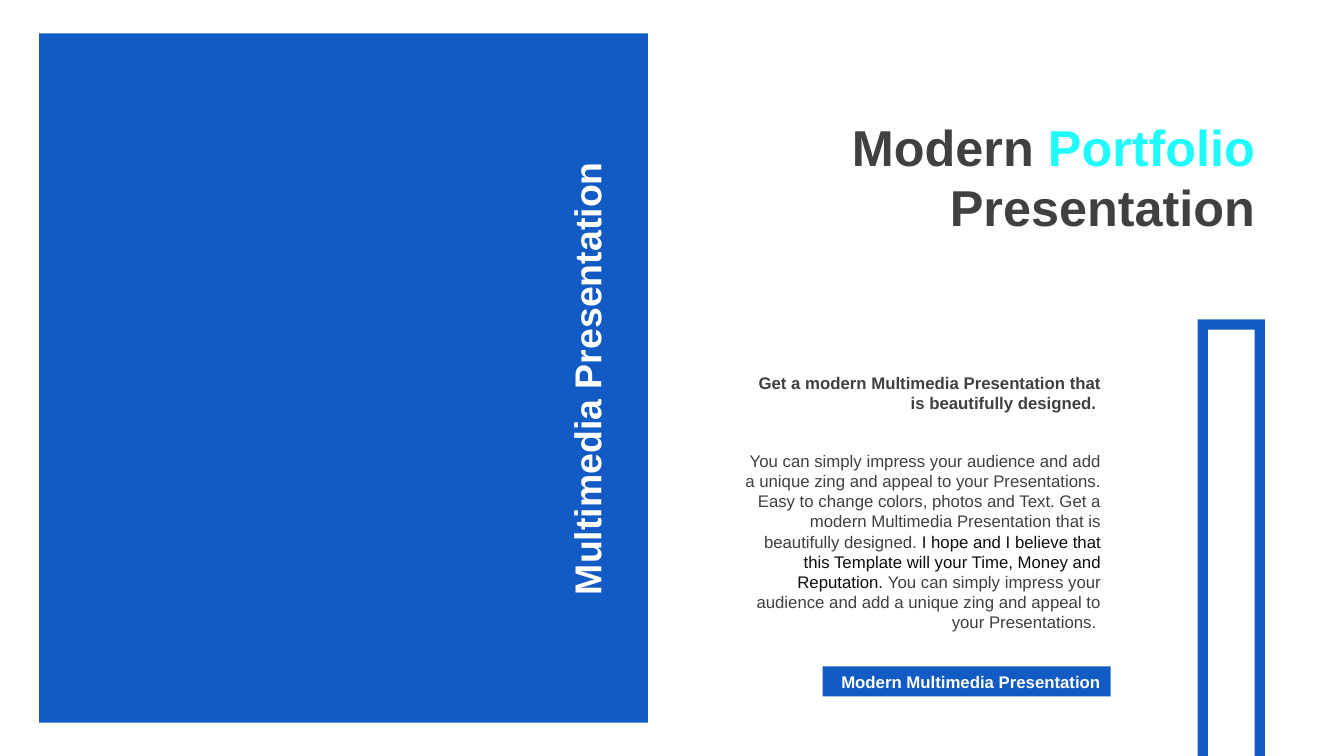
"""Build the cover slide of a modern portfolio presentation."""
import pptx
import pptx.dml.color
import pptx.enum.shapes
import pptx.enum.text
import pptx.util

Cm = pptx.util.Cm
Align = pptx.enum.text.PP_ALIGN
BLUE, CYAN, GREY, BLACK, WHITE = "125AC4", "1FFBFD", "404040", "0D0D0D", "FFFFFF"


def color(value):
    return pptx.dml.color.RGBColor.from_string(value)


class Cover:
    font = "Arial"

    def __init__(self, slide):
        self.slide = slide

    def paint(self, shape):
        shape.shadow.inherit = False
        shape.fill.solid()
        shape.fill.fore_color.rgb = color(BLUE)
        shape.line.fill.background()
        return shape

    def block(self, left, top, width, height):
        kind = pptx.enum.shapes.MSO_SHAPE.RECTANGLE
        return self.paint(self.slide.shapes.add_shape(
            kind, Cm(left), Cm(top), Cm(width), Cm(height)))

    def open_frame(self, left, top, width, height, thickness):
        right, bottom = left + width, top + height
        inner_left, inner_right = left + thickness, right - thickness
        inner_top = top + thickness
        outline = [(right, top), (right, bottom), (inner_right, bottom),
                   (inner_right, inner_top), (inner_left, inner_top),
                   (inner_left, bottom), (left, bottom)]
        builder = self.slide.shapes.build_freeform(Cm(left), Cm(top))
        builder.add_line_segments([(Cm(x), Cm(y)) for x, y in outline], close=True)
        return self.paint(builder.convert_to_shape())

    def add_runs(self, shape, runs, size, bold=False, align=Align.RIGHT):
        frame = shape.text_frame
        frame.word_wrap = True
        frame.auto_size = pptx.enum.text.MSO_AUTO_SIZE.SHAPE_TO_FIT_TEXT
        paragraph = frame.paragraphs[0]
        paragraph.alignment = align
        for text, run_color in runs:
            run = paragraph.add_run()
            run.text = text
            run.font.name = self.font
            run.font.size = pptx.util.Pt(size)
            run.font.bold = bold
            run.font.color.rgb = color(run_color)

    def text(self, left, top, width, height, runs, size, **style):
        shape = self.slide.shapes.add_textbox(Cm(left), Cm(top), Cm(width), Cm(height))
        self.add_runs(shape, runs, size, **style)
        return shape


def main():
    presentation = pptx.Presentation()
    presentation.slide_width, presentation.slide_height = Cm(33.87), Cm(19.05)
    cover = Cover(presentation.slides.add_slide(presentation.slide_layouts[6]))

    cover.block(0.99, 0.84, 15.34, 17.37)
    cover.text(19.43, 2.79, 12.45, 3.33, [
        ("Modern ", GREY), ("Portfolio ", CYAN), ("Presentation", GREY)], 36, bold=True)
    cover.text(18.42, 11.23, 9.58, 4.88, [
        ("You can simply impress your audience and add a unique zing and appeal to "
         "your Presentations. Easy to change colors, photos and Text. Get a modern "
         "Multimedia Presentation that is beautifully designed.", GREY),
        (" I hope and I believe that this Template will your Time, Money and "
         "Reputation. ", BLACK),
        ("You can simply impress your audience and add a unique zing and appeal to "
         "your Presentations. ", GREY)], 12)
    cover.text(18.42, 9.27, 9.58, 1.27, [
        ("Get a modern Multimedia Presentation that is beautifully designed. ", GREY)],
        12, bold=True)
    button = cover.block(20.73, 16.79, 7.26, 0.76)
    cover.add_runs(button, [("Modern Multimedia Presentation", WHITE)], 12, bold=True)
    spine = cover.text(8.59, 8.84, 12.4, 1.4, [("Multimedia Presentation", WHITE)],
                       26.7, bold=True, align=Align.CENTER)
    spine.rotation = 270
    cover.open_frame(30.18, 8.05, 1.7, 11, 0.26)

    presentation.save("out.pptx")


if __name__ == "__main__":
    main()
